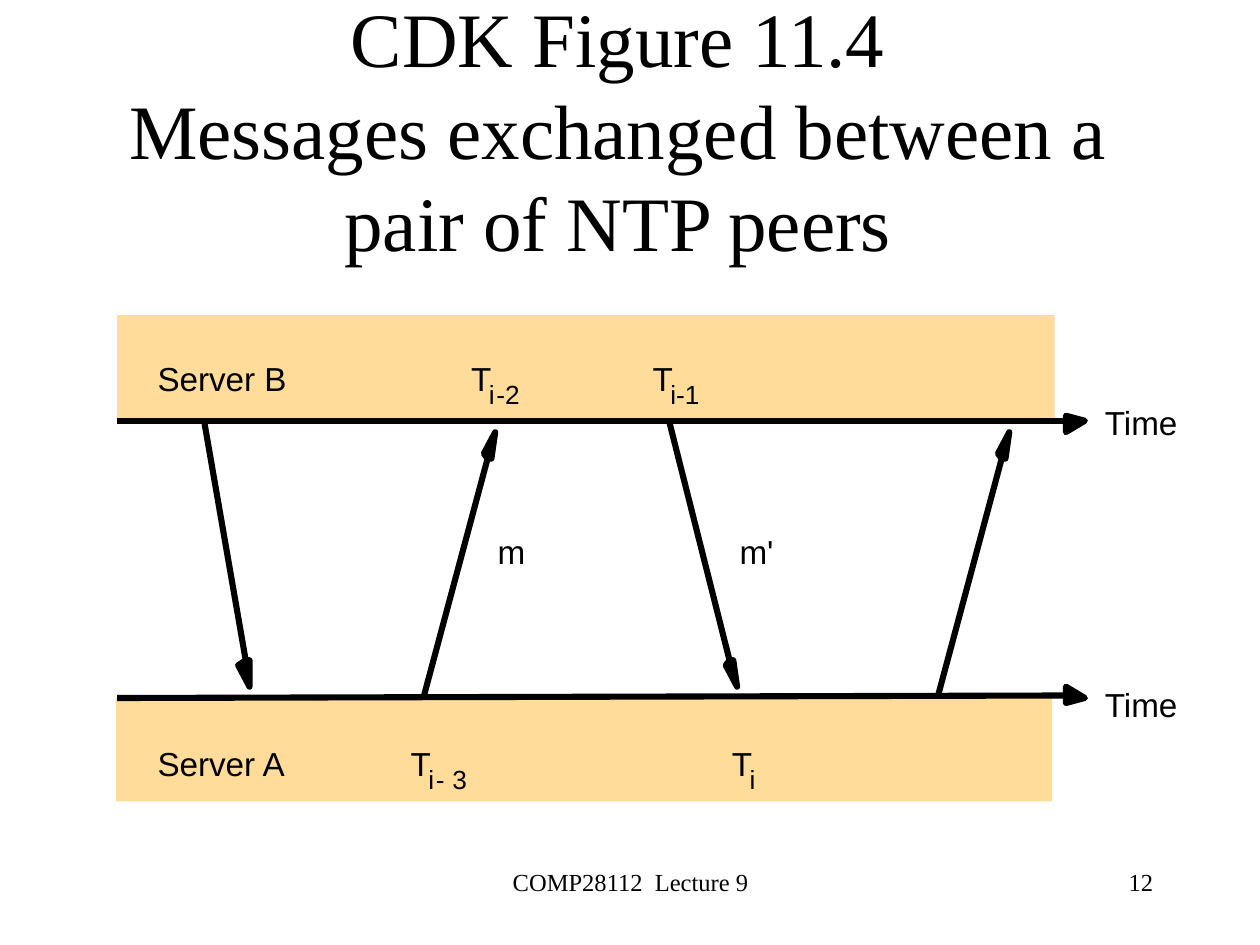
from pptx import Presentation
from pptx.dml.color import RGBColor
from pptx.enum.shapes import MSO_CONNECTOR as CONN, MSO_SHAPE as SHAPE
from pptx.enum.text import MSO_ANCHOR as ANCHOR, MSO_AUTO_SIZE as FIT, PP_ALIGN as ALIGN
from pptx.oxml.ns import qn
from pptx.util import Inches, Pt
from lxml import etree

prs = Presentation()
prs.slide_width, prs.slide_height = Inches(10), Inches(7.5)
s = prs.slides.add_slide(prs.slide_layouts[6])


def rgb(value):
    return RGBColor.from_string(value)


def text(content, x, y, w, h, size=19, font="Arial", align=ALIGN.LEFT,
         anchor=ANCHOR.TOP, wrap=False):
    tf = s.shapes.add_textbox(Inches(x), Inches(y), Inches(w), Inches(h)).text_frame
    tf.word_wrap = wrap
    tf.vertical_anchor = anchor
    if not wrap:
        tf.auto_size = FIT.SHAPE_TO_FIT_TEXT
        tf.margin_left = tf.margin_right = tf.margin_top = tf.margin_bottom = 0
    p = tf.paragraphs[0]
    p.text = content
    p.alignment = align
    for r in p.runs:
        r.font.size = Pt(size)
        r.font.name = font
        r.font.color.rgb = rgb("000000")


def arrow(start, end, tip, head):
    points = [(Inches(tip[0] + dx), Inches(tip[1] + dy)) for dx, dy in head]
    builder = s.shapes.build_freeform(*points[0])
    builder.add_line_segments(points[1:], close=True)
    sp = builder.convert_to_shape()
    sp.shadow.inherit = False
    sp.fill.solid()
    sp.fill.fore_color.rgb = rgb("000000")
    line = s.shapes.add_connector(CONN.STRAIGHT, *map(Inches, start + end))
    etree.SubElement(line.element.spPr, qn("a:effectLst"))
    for shape in (sp, line):
        shape.line.width = Pt(3.5)
        shape.line.color.rgb = rgb("000000")
        etree.SubElement(shape.line.fill._xPr, qn("a:round"))


serif = "Times New Roman"
text("COMP28112  Lecture 9", 3.42, 6.83, 3.17, 0.5, size=14, font=serif,
     align=ALIGN.CENTER, wrap=True)
text("12", 7.17, 6.83, 2.08, 0.5, size=14, font=serif, align=ALIGN.RIGHT, wrap=True)
text("CDK Figure 11.4\vMessages exchanged between a pair of NTP peers",
     0.42, 0, 8.97, 2.17, size=44, font=serif, align=ALIGN.CENTER,
     anchor=ANCHOR.BOTTOM, wrap=True)

top, bottom = 3.34, 5.54
up_head = [(-0.06, 0.21), (-0.09, 0.17), (0, 0), (-0.03, 0.21)]
for x in (7.44, 3.36):
    arrow((x, bottom), (x + 0.51, 3.64), (x + 0.57, 3.43), up_head)
for x, dx, tip_x, head in [
    (5.31, 0.48, 5.85, [(-0.06, -0.21), (-0.03, -0.21), (0, 0), (-0.09, -0.17)]),
    (1.62, 0.33, 1.98, [(-0.03, -0.21), (0, -0.21), (0, 0), (-0.09, -0.17)]),
]:
    arrow((x, top), (x + dx, 5.24), (tip_x, 5.45), head)

for x, y, w in [(0.92, 5.54, 7.43), (0.93, 2.5, 7.44)]:
    sp = s.shapes.add_shape(SHAPE.RECTANGLE, Inches(x), Inches(y), Inches(w), Inches(0.82))
    sp.shadow.inherit = False
    sp.fill.solid()
    sp.fill.fore_color.rgb = rgb("FFDC99")
    sp.line.fill.background()

arrow((0.93, top), (8.46, top), (8.61, top),
      [(-0.15, 0), (-0.15, -0.04), (0, 0), (-0.15, 0.09)])
arrow((0.93, bottom), (8.48, 5.52), (8.61, bottom),
      [(-0.15, 0), (-0.15, -0.09), (0, 0), (-0.15, 0.04)])

row_b, row_a = 2.84, 5.9
for x, y, subscripts in [
    (5.81, row_a, [("i", 0.14, 0.05)]),
    (5.18, row_b, [("i-1", 0.14, 0.26)]),
    (3.74, row_b, [("i", 0.14, 0.05), ("-2", 0.2, 0.21)]),
    (3.26, row_a, [("i", 0.14, 0.05), ("-", 0.2, 0.07), ("3", 0.33, 0.12)]),
]:
    text("T", x, y, 0.16, 0.32)
    for content, dx, w in subscripts:
        text(content, x + dx, y + 0.16, w, 0.25, size=15)

for content, x, y, w in [
    ("Server B", 1.25, row_b, 1.05),
    ("Server A", 1.25, row_a, 1.05),
    ("Time", 8.77, 3.19, 0.6),
    ("m", 3.95, 4.22, 0.22),
    ("m'", 5.87, 4.22, 0.28),
    ("Time", 8.77, 5.43, 0.6),
]:
    text(content, x, y, w, 0.32)

prs.save("out.pptx")
